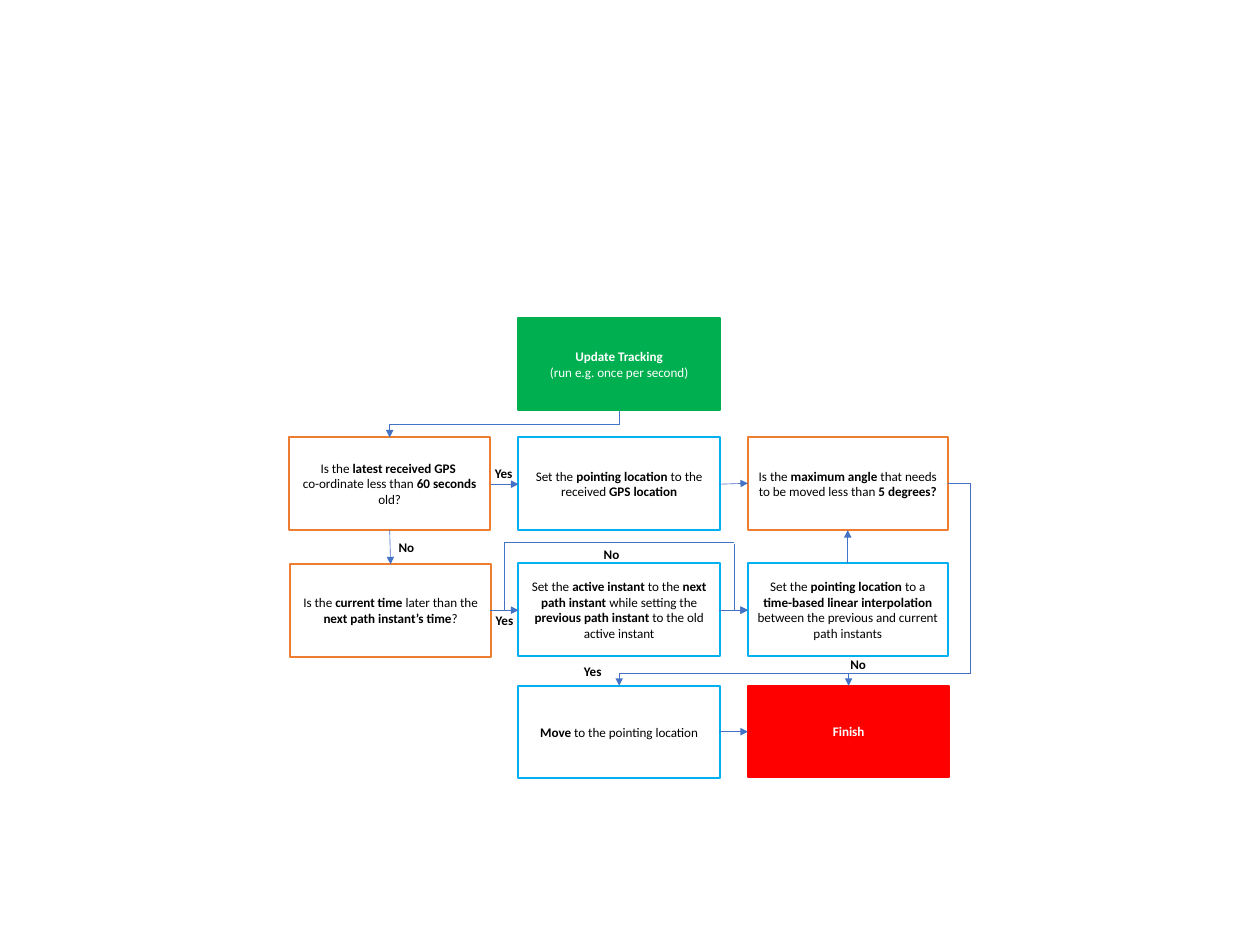
import pptx
import pptx.util
import pptx.dml.color
import pptx.enum.shapes
import pptx.enum.text
import pptx.oxml.ns
from lxml import etree

Inches = pptx.util.Inches
RGBColor = pptx.dml.color.RGBColor
Connector = pptx.enum.shapes.MSO_CONNECTOR

GREEN = RGBColor(0x00, 0xB0, 0x50)
RED = RGBColor(0xFF, 0x00, 0x00)
ORANGE = RGBColor(0xED, 0x7D, 0x31)
SKY = RGBColor(0x00, 0xB0, 0xF0)
BLUE = RGBColor(0x44, 0x72, 0xC4)
BLACK = RGBColor(0x00, 0x00, 0x00)
WHITE = RGBColor(0xFF, 0xFF, 0xFF)


def add_xml(parent, tag, **values):
    return etree.SubElement(parent, pptx.oxml.ns.qn(tag), values)


class Flowchart:
    """Holds the style and the current slide."""

    font = {"name": "Calibri", "size": pptx.util.Pt(10.5)}

    def __init__(self, slide):
        self.slide = slide

    def add_spans(self, para, text, color):
        """Add spans to a paragraph; parts between asterisks are bold."""
        for index, part in enumerate(text.split("*")):
            if part:
                span = para.add_run()
                span.text = part
                for key, value in {**self.font, "bold": index % 2 == 1}.items():
                    setattr(span.font, key, value)
                span.font.color.rgb = color

    def box(self, left, top, lines, outline, filled=False, width=2.24, height=1.03):
        box = self.slide.shapes.add_shape(
            pptx.enum.shapes.MSO_SHAPE.RECTANGLE,
            Inches(left), Inches(top), Inches(width), Inches(height))
        box.shadow.inherit = False
        if filled:
            box.fill.solid()
            box.fill.fore_color.rgb = outline
        else:
            box.fill.background()
        box.line.color.rgb = outline
        box.line.width = pptx.util.Pt(1.5)
        frame = box.text_frame
        frame.word_wrap = True
        frame.vertical_anchor = pptx.enum.text.MSO_ANCHOR.MIDDLE
        for index, line in enumerate(lines):
            para = frame.add_paragraph() if index else frame.paragraphs[0]
            para.alignment = pptx.enum.text.PP_ALIGN.CENTER
            self.add_spans(para, line, WHITE if filled else BLACK)

    def label(self, left, top, text):
        width = 0.61 if text == "Yes" else 0.39
        box = self.slide.shapes.add_textbox(
            Inches(left), Inches(top), Inches(width), Inches(0.28))
        frame = box.text_frame
        options = {"word_wrap": True, "margin_right": 0,
                   "auto_size": pptx.enum.text.MSO_AUTO_SIZE.SHAPE_TO_FIT_TEXT}
        for key, value in options.items():
            setattr(frame, key, value)
        self.add_spans(frame.paragraphs[0], f"*{text}*", BLACK)

    def arrow(self, start, end, kind=Connector.STRAIGHT, head=True):
        points = [Inches(value) for value in (*start, *end)]
        line = self.slide.shapes.add_connector(kind, *points)
        line.line.color.rgb = BLUE
        line.line.width = pptx.util.Pt(0.5)
        properties = line._element.spPr
        if head:
            add_xml(properties.find(pptx.oxml.ns.qn("a:ln")), "a:tailEnd", type="triangle")
        add_xml(properties, "a:effectLst")
        return line

    def elbow(self, start, end, preset, bends=(), turn=0, head=True):
        """Draw a bent connector; turn is its rotation in degrees."""
        middle = [(a + b) / 2 for a, b in zip(start, end)]
        x, y = [(b - a) / 2 for a, b in zip(start, end)]
        x, y = {0: (x, y), 90: (y, -x), 270: (-y, x)}[turn]
        line = self.arrow((middle[0] - x, middle[1] - y),
                          (middle[0] + x, middle[1] + y), Connector.ELBOW, head)
        properties = line._element.spPr
        if turn:
            properties.find(pptx.oxml.ns.qn("a:xfrm")).set("rot", str(turn * 60000))
        geometry = properties.find(pptx.oxml.ns.qn("a:prstGeom"))
        geometry.set("prst", preset)
        guides = geometry.find(pptx.oxml.ns.qn("a:avLst"))
        for number, bend in enumerate(bends, 1):
            name = f"adj{number}"
            add_xml(guides, "a:gd", name=name, fmla=f"val {round(bend * 100000)}")


deck = pptx.Presentation()
deck.slide_width, deck.slide_height = Inches(14), Inches(10.5)
chart = Flowchart(deck.slides.add_slide(deck.slide_layouts[6]))

# Grid of columns and rows
LEFT, CENTER, RIGHT = 3.21, 5.76, 8.31
START, CHECK, STEP, LAST = 3.53, 4.86, 6.26, 7.62

# Boxes
chart.box(CENTER, START, ["*Update Tracking*", "(run e.g. once per second)"], GREEN, True)
chart.box(LEFT, CHECK, ["Is the *latest received GPS *",
                        "co-ordinate less than *60 seconds *old?"], ORANGE)
chart.box(LEFT + 0.01, STEP + 0.01,
          ["Is the *current time *later than the *next path instant’s time*?"], ORANGE)
chart.box(CENTER, STEP, ["Set the *active instant *to the *next path instant *while setting "
                         "the *previous path instant *to the old active instant"], SKY)
chart.box(CENTER, CHECK,
          ["Set the *pointing location *to the received *GPS location*"], SKY)
chart.box(RIGHT, CHECK, ["Is the *maximum angle *that needs to be moved less than "
                         "*5 degrees?*"], ORANGE, width=2.22)
chart.box(RIGHT, LAST, ["*Finish*"], RED, True, height=1.01)
chart.box(RIGHT, STEP, ["Set the *pointing location *to a *time-based linear interpolation *"
                        "between the previous and current path instants"], SKY, width=2.22)
chart.box(CENTER, LAST, ["*Move* to the pointing location"], SKY)

# Straight arrows
for start, end in [
    ((5.45, 5.38), (CENTER, 5.38)),
    ((7.99, 5.38), (RIGHT, 5.37)),
    ((4.33, 5.89), (4.34, 6.27)),
    ((5.46, 6.78), (CENTER, 6.78)),
    ((7.99, 6.78), (RIGHT, 6.78)),
    ((9.42, STEP), (9.42, 5.89)),
    ((7.99, 8.13), (RIGHT, 8.13)),
]:
    chart.arrow(start, end)

# Bent connectors
chart.elbow((6.88, 4.57), (4.33, CHECK), "bentConnector3", [0.5], turn=90)
chart.elbow((10.53, 5.37), (6.88, LAST), "bentConnector4", [-0.07, 0.94])
chart.elbow((10.53, 5.37), (9.43, LAST), "bentConnector4", [-0.23, 0.94])
chart.elbow((5.44, 6.78), (8.16, 6.03), "bentConnector3", [0.06], head=False)
chart.elbow((8.16, 6.04), (RIGHT, 6.78), "bentConnector2", turn=270)

# Branch labels
for left, top, text in [
    (4.33, 5.94, "No"), (5.4, 5.12, "Yes"), (6.39, 7.32, "Yes"),
    (9.35, 7.24, "No"), (5.41, 6.75, "Yes"), (6.61, 6.02, "No"),
]:
    chart.label(left, top, text)

deck.save("out.pptx")
